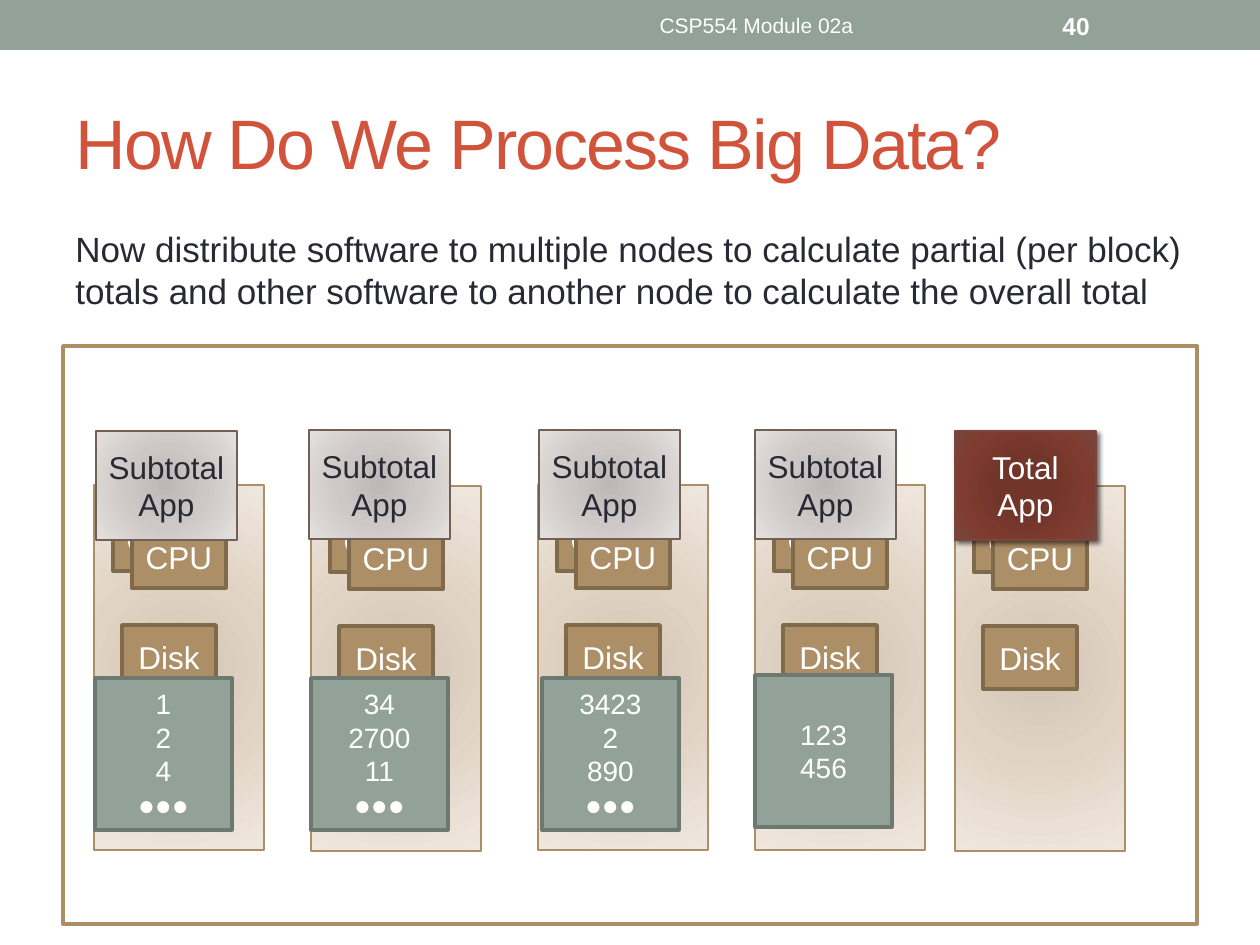
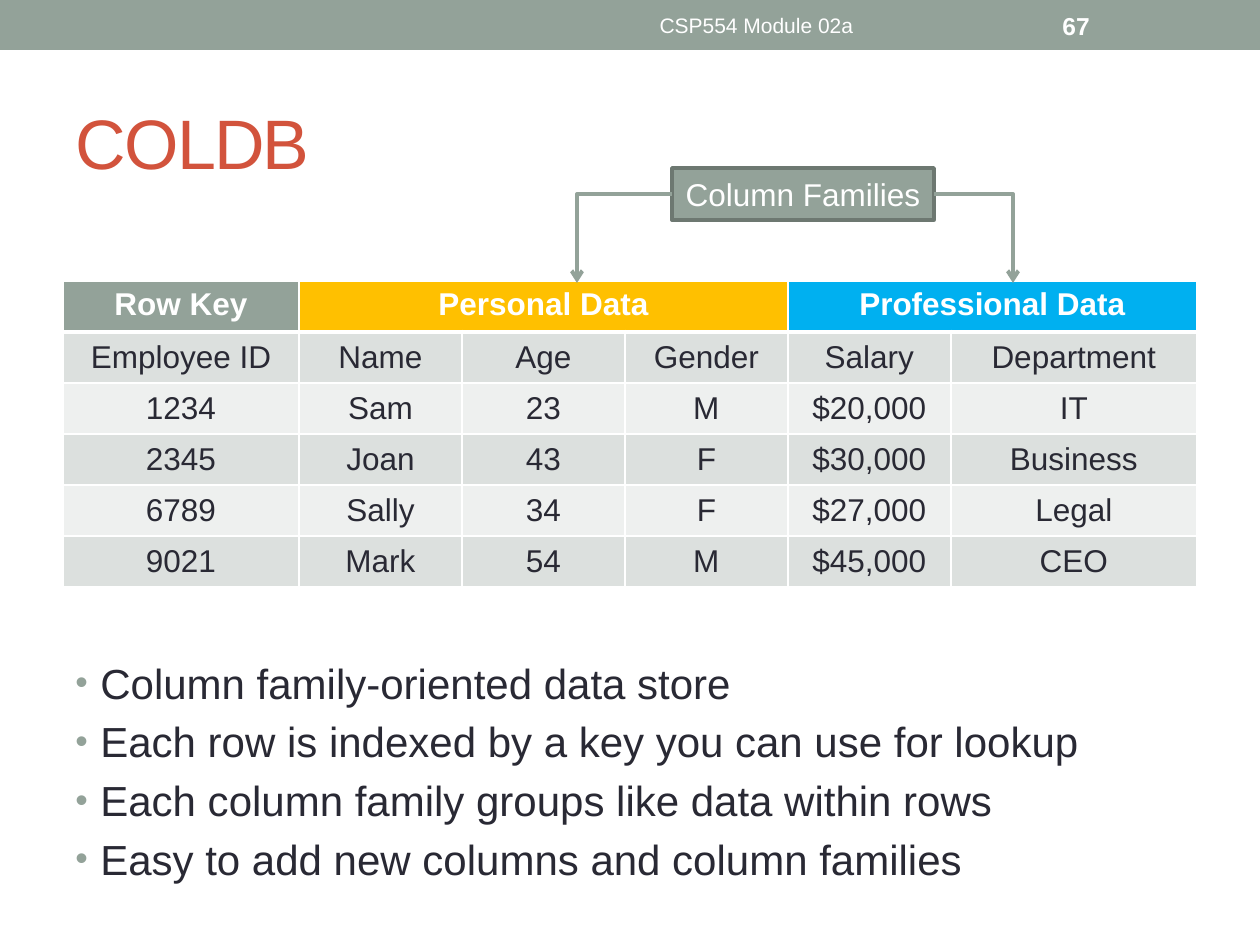
from dataclasses import dataclass
from typing import NamedTuple, Optional

from pptx import Presentation
from pptx.dml.color import RGBColor as Rgb
from pptx.enum.shapes import MSO_CONNECTOR as Connector, MSO_SHAPE as Preset
from pptx.enum.text import MSO_ANCHOR as Anchor, PP_ALIGN as Align
from pptx.oxml import parse_xml
from pptx.oxml.ns import nsdecls, qn
from pptx.util import Emu, Pt

PX_PER_INCH = 126


def px(length: int) -> Emu:
    return Emu(round(length * 914400 / PX_PER_INCH))


class Area(NamedTuple):
    left: int
    top: int
    width: int
    height: int

    def emu(self) -> list[Emu]:
        return [px(length) for length in self]


Gradient = tuple[tuple[int, str], ...]


@dataclass(frozen=True)
class Theme:
    font: str = "Arial"
    white: str = "FFFFFF"
    ink: str = "292934"
    title: str = "D2533C"
    sage: str = "93A299"
    sage_edge: str = "6D7871"
    tan: str = "AD8F67"
    tan_edge: str = "806A4C"
    taupe_edge: str = "726056"
    brick_edge: str = "79463D"
    amber: str = "FFC000"
    sky: str = "00B0F0"
    row_shades: tuple[str, str] = ("DCE0DE", "EEF0EF")
    node_glow: Gradient = ((0, "D1C4B6"), (45, "E1D3C4"), (100, "EFE7DF"))
    taupe_glow: Gradient = ((0, "BDB8B6"), (45, "CDC7C5"), (100, "E4E1DF"))
    brick_glow: Gradient = ((0, "743327"), (34, "72352A"), (70, "7F3B2F"), (100, "79463D"))
    title_size: int = 40
    bullet_size: int = 24
    body_size: int = 20
    label_size: int = 18
    block_size: int = 16
    number_size: int = 14
    footer_size: int = 12
    thick: float = 2.08
    thin: float = 0.75


THEME = Theme()


@dataclass(frozen=True)
class Node:
    left: int
    top: int
    app_left: int
    app_top: int
    app: str = "Subtotal\nApp"
    block: str = ""
    block_left: int = 0
    block_top: int = 678


@dataclass(frozen=True)
class Family:
    name: str
    fill: str
    first: int
    span: int


NODES = (
    Node(94, 485, 96, 431, block="1\n2\n4\n●●●", block_left=95),
    Node(311, 486, 309, 430, block="34\n2700\n11\n●●●", block_left=311),
    Node(538, 485, 539, 430, block="3423\n2\n890\n●●●", block_left=542),
    Node(755, 485, 755, 430, block="123\n456", block_left=755, block_top=675),
    Node(955, 486, 955, 431, app="Total\nApp"),
)
# Parts of a node, measured from its corner
NODE_PARTS = (
    ("CPU", Area(19, 23, 94, 63)),
    ("CPU", Area(38, 40, 94, 63)),
    ("Disk", Area(28, 140, 94, 63)),
)

FAMILIES = (
    Family("Row Key", THEME.sage, 0, 1),
    Family("Personal Data", THEME.amber, 1, 3),
    Family("Professional Data", THEME.sky, 4, 2),
)
EMPLOYEES = (
    ("Employee ID", "Name", "Age", "Gender", "Salary", "Department"),
    ("1234", "Sam", "23", "M", "$20,000", "IT"),
    ("2345", "Joan", "43", "F", "$30,000", "Business"),
    ("6789", "Sally", "34", "F", "$27,000", "Legal"),
    ("9021", "Mark", "54", "M", "$45,000", "CEO"),
)
COLUMN_WIDTHS = (236, 163, 163, 163, 163, 246)
ROW_HEIGHT = 51

FEATURES = (
    "Column family-oriented data store\n"
    "Each row is indexed by a key you can use for lookup\n"
    "Each column family groups like data within rows\n"
    "Easy to add new columns and column families"
)


def write(frame, text: str, *, size: int, color: str = THEME.white, bold: bool = False,
          align=Align.CENTER, before: float = 0, tracking: int = 0, bullet: bool = False) -> None:
    """Fill a text frame, one paragraph for each line of the text."""
    frame.word_wrap = True
    for index, line in enumerate(text.split("\n")):
        para = frame.add_paragraph() if index else frame.paragraphs[0]
        para.alignment = align
        para.space_before = Pt(before)
        span = para.add_run()
        span.text = line
        span.font.name = THEME.font
        span.font.size = Pt(size)
        span.font.bold = bold
        span.font.color.rgb = Rgb.from_string(color)
        if tracking:
            span.font._element.set("spc", str(tracking))
        if bullet:
            add_bullet(para)


def add_bullet(para) -> None:
    props = para._p.get_or_add_pPr()
    indent = px(25)
    props.set("marL", str(indent))
    props.set("indent", str(-indent))
    for tag in (f'<a:buClr {nsdecls("a")}><a:srgbClr val="{THEME.sage}"/></a:buClr>',
                f'<a:buSzPct {nsdecls("a")} val="85000"/>',
                f'<a:buFont {nsdecls("a")} typeface="{THEME.font}"/>',
                f'<a:buChar {nsdecls("a")} char="•"/>'):
        props.append(parse_xml(tag))


def add_text(page, area: Area, text: str, *, anchor=Anchor.TOP, **style) -> None:
    box = page.shapes.add_textbox(*area.emu())
    box.text_frame.vertical_anchor = anchor
    write(box.text_frame, text, **style)


def set_gradient(shape, stops: Gradient) -> None:
    shape.fill.background()
    marks = "".join(f'<a:gs pos="{at * 1000}"><a:srgbClr val="{color}"/></a:gs>'
                    for at, color in stops)
    glow = parse_xml(
        f'<a:gradFill {nsdecls("a")} rotWithShape="1"><a:gsLst>{marks}</a:gsLst>'
        '<a:path path="circle"><a:fillToRect l="100000" t="100000" r="100000" b="100000"/>'
        '</a:path></a:gradFill>')
    props = shape._element.spPr
    props.replace(props.find(qn("a:noFill")), glow)


def add_box(page, area: Area, fill: str | Gradient, edge: Optional[str] = None,
            weight: float = THEME.thick, text: str = "", size: int = THEME.label_size,
            color: str = THEME.white):
    box = page.shapes.add_shape(Preset.RECTANGLE, *area.emu())
    box.shadow.inherit = False
    if isinstance(fill, str):
        box.fill.solid()
        box.fill.fore_color.rgb = Rgb.from_string(fill)
    else:
        set_gradient(box, fill)
    if edge:
        box.line.color.rgb = Rgb.from_string(edge)
        box.line.width = Pt(weight)
    else:
        box.line.fill.background()
    if text:
        frame = box.text_frame
        frame.margin_left = frame.margin_right = 0
        frame.vertical_anchor = Anchor.MIDDLE
        write(frame, text, size=size, color=color)
    return box


def add_drop_shadow(box) -> None:
    box._element.spPr.find(qn("a:effectLst")).append(parse_xml(
        f'<a:outerShdw {nsdecls("a")} blurRad="{Pt(3)}" dist="{Pt(2)}" dir="2700000">'
        '<a:srgbClr val="000000"><a:alpha val="60000"/></a:srgbClr></a:outerShdw>'))


def add_page(deck, title: str, number: int):
    """Start a slide with the shared band, footer, number and title."""
    page = deck.slides.add_slide(deck.slide_layouts[5])
    add_box(page, Area(0, 0, 1260, 50), THEME.sage)
    add_text(page, Area(473, 3, 567, 45), "CSP554 Module 02a", anchor=Anchor.MIDDLE,
             size=THEME.footer_size)
    add_text(page, Area(1050, 3, 147, 45), str(number), anchor=Anchor.MIDDLE,
             size=THEME.number_size, bold=True, align=Align.LEFT)
    heading = page.shapes.title
    heading.left, heading.top, heading.width, heading.height = Area(63, 73, 1134, 136).emu()
    heading.text_frame.vertical_anchor = Anchor.MIDDLE
    write(heading.text_frame, title, size=THEME.title_size, color=THEME.title,
          align=Align.LEFT, tracking=-100)
    return page


def add_node(page, node: Node) -> None:
    add_box(page, Area(node.left, node.top, 170, 365), THEME.node_glow, THEME.tan, THEME.thin)
    for label, part in NODE_PARTS:
        area = part._replace(left=node.left + part.left, top=node.top + part.top)
        add_box(page, area, THEME.tan, THEME.tan_edge, text=label)
    app_area = Area(node.app_left, node.app_top, 141, 109)
    if node.block:
        add_box(page, Area(node.block_left, node.block_top, 137, 152), THEME.sage,
                THEME.sage_edge, text=node.block, size=THEME.block_size)
        add_box(page, app_area, THEME.taupe_glow, THEME.taupe_edge, THEME.thin,
                text=node.app, color=THEME.ink)
    else:
        add_drop_shadow(add_box(page, app_area, THEME.brick_glow, THEME.brick_edge,
                                THEME.thin, text=node.app))


def format_cell(cell, fill: str, top: int = 1, bottom: int = 1) -> None:
    cell.fill.solid()
    cell.fill.fore_color.rgb = Rgb.from_string(fill)
    props = cell._tc.get_or_add_tcPr()
    for index, (side, weight) in enumerate(zip("LRTB", (1, 1, top, bottom))):
        props.insert(index, parse_xml(
            f'<a:ln{side} {nsdecls("a")} w="{Pt(weight)}"><a:solidFill>'
            f'<a:srgbClr val="{THEME.white}"/></a:solidFill></a:ln{side}>'))


def add_employee_table(page) -> None:
    rows = len(EMPLOYEES) + 1
    area = Area(63, 281, sum(COLUMN_WIDTHS), rows * ROW_HEIGHT)
    table = page.shapes.add_table(rows, len(COLUMN_WIDTHS), *area.emu()).table
    for column, width in zip(table.columns, COLUMN_WIDTHS):
        column.width = px(width)
    for row in table.rows:
        row.height = px(ROW_HEIGHT)
    # Column families
    for family in FAMILIES:
        last = family.first + family.span - 1
        for index in range(family.first, last + 1):
            format_cell(table.cell(0, index), family.fill, bottom=3)
        cell = table.cell(0, family.first)
        if family.span > 1:
            cell.merge(table.cell(0, last))
        write(cell.text_frame, family.name, size=THEME.label_size, bold=True)
    # Columns and their values
    for row_index, values in enumerate(EMPLOYEES, start=1):
        for index, value in enumerate(values):
            cell = table.cell(row_index, index)
            format_cell(cell, THEME.row_shades[(row_index - 1) % 2],
                        top=3 if row_index == 1 else 1)
            cell.vertical_anchor = Anchor.MIDDLE
            write(cell.text_frame, value, size=THEME.label_size, color=THEME.ink)


def add_bent_arrow(page, box, site: int, end_x: int, end_y: int) -> None:
    """Leave a side of the box, turn once and point down."""
    start_x = box.left + (box.width if site == 3 else 0)
    arrow = page.shapes.add_connector(Connector.ELBOW, start_x, box.top + box.height // 2,
                                      px(end_x), px(end_y))
    arrow.begin_connect(box, site)
    arrow.line.color.rgb = Rgb.from_string(THEME.sage)
    arrow.line.width = Pt(2.25)
    props = arrow._element.spPr
    props.find(qn("a:prstGeom")).set("prst", "bentConnector2")
    arrow.line._get_or_add_ln().append(parse_xml(f'<a:tailEnd {nsdecls("a")} type="arrow"/>'))
    props.append(parse_xml(f'<a:effectLst {nsdecls("a")}/>'))


def build_processing_page(deck) -> None:
    page = add_page(deck, "How Do We Process Big Data?", 40)
    add_box(page, Area(63, 346, 1134, 578), THEME.white, THEME.tan)
    add_text(page, Area(63, 221, 1134, 110),
             "Now distribute software to multiple nodes to calculate partial (per block) "
             "totals and other software to another node to calculate the overall total",
             size=THEME.body_size, color=THEME.ink, align=Align.LEFT, before=4)
    for node in NODES:
        add_node(page, node)


def build_store_page(deck) -> None:
    page = add_page(deck, "COLDB", 67)
    add_employee_table(page)
    label = add_box(page, Area(672, 168, 262, 52), THEME.sage, THEME.sage_edge,
                    text="Column Families")
    for site, end_x in ((1, 577), (3, 1013)):
        add_bent_arrow(page, label, site, end_x, 283)
    add_text(page, Area(63, 651, 1134, 242), FEATURES, size=THEME.bullet_size,
             color=THEME.ink, align=Align.LEFT, before=4.8, bullet=True)


def main() -> None:
    deck = Presentation()
    deck.slide_width, deck.slide_height = px(1260), px(945)
    build_processing_page(deck)
    build_store_page(deck)
    deck.save("out.pptx")


if __name__ == "__main__":
    main()
